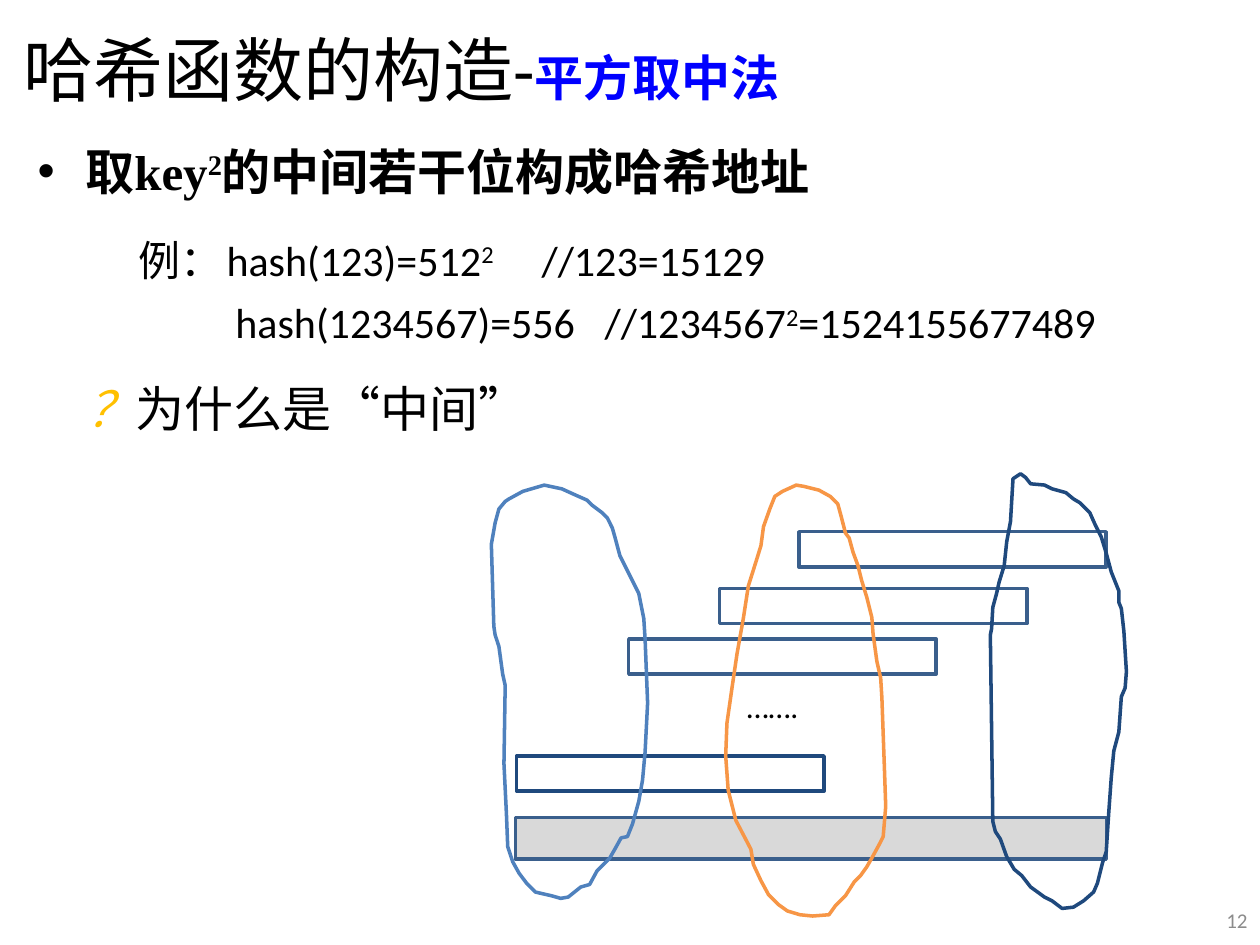
from lxml import etree
from pptx import Presentation
from pptx.dml.color import RGBColor
from pptx.enum.lang import MSO_LANGUAGE_ID as Language
from pptx.enum.shapes import MSO_SHAPE as Shape
from pptx.enum.text import MSO_ANCHOR as Anchor, PP_ALIGN as Align
from pptx.oxml.ns import qn
from pptx.util import Inches, Pt

BLACK = RGBColor(0x00, 0x00, 0x00)
BLUE = RGBColor(0x00, 0x00, 0xFF)
GOLD = RGBColor(0xFF, 0xC0, 0x00)
GRAY = RGBColor(0x8C, 0x8C, 0x8C)
SILVER = RGBColor(0xD9, 0xD9, 0xD9)
STEEL = RGBColor(0x3A, 0x5F, 0x8C)
NAVY = RGBColor(0x1F, 0x49, 0x7D)
SKY = RGBColor(0x4F, 0x81, 0xBD)
ORANGE = RGBColor(0xF7, 0x96, 0x46)
SANS, SERIF, CJK = "Calibri", "Times New Roman", "Noto Sans CJK SC"

LEFT_LOOP = [
    (4.15, 3.9), (4.04, 3.96), (4.01, 3.98), (3.96, 4.04), (3.93, 4.15),
    (3.9, 4.32), (3.92, 4.97), (3.93, 5.04), (3.96, 5.13), (3.99, 5.35),
    (4.01, 5.44), (4, 6.06), (4.02, 6.46), (4.03, 6.72), (4.07, 6.84),
    (4.12, 6.93), (4.18, 7.01), (4.25, 7.08), (4.38, 7.11), (4.45, 7.13),
    (4.51, 7.12), (4.61, 7.04), (4.68, 7.02), (4.74, 6.91), (4.84, 6.81),
    (4.88, 6.74), (4.93, 6.65), (4.98, 6.64), (5.02, 6.54), (5.07, 6.36),
    (5.1, 6.19), (5.12, 5.97), (5.14, 5.58), (5.12, 5.07), (5.11, 4.91),
    (5.07, 4.71), (5.02, 4.61), (4.92, 4.41), (4.88, 4.26), (4.86, 4.19),
    (4.82, 4.11), (4.78, 4.07), (4.7, 4.01), (4.66, 3.97), (4.57, 3.93),
    (4.46, 3.88), (4.32, 3.85)]
MIDDLE_LOOP = [
    (6.38, 3.86), (6.32, 3.85), (6.21, 3.9), (6.15, 3.94), (6.11, 4.04),
    (6.06, 4.18), (6.04, 4.33), (6, 4.46), (5.94, 4.65), (5.9, 4.91),
    (5.85, 5.19), (5.81, 5.46), (5.77, 5.74), (5.76, 6), (5.78, 6.27),
    (5.84, 6.51), (5.96, 6.74), (5.98, 6.86), (6.04, 6.99), (6.1, 7.1),
    (6.18, 7.18), (6.25, 7.23), (6.35, 7.26), (6.45, 7.27), (6.58, 7.26),
    (6.63, 7.19), (6.71, 7.11), (6.78, 7), (6.83, 6.95), (6.88, 6.88),
    (6.92, 6.81), (6.98, 6.7), (7.01, 6.64), (7.03, 6.4), (7.02, 6.1),
    (7, 5.54), (6.99, 5.38), (6.96, 5.25), (6.93, 5.03), (6.92, 4.9),
    (6.88, 4.74), (6.84, 4.61), (6.81, 4.49), (6.77, 4.38), (6.74, 4.27),
    (6.71, 4.23), (6.68, 4.11), (6.65, 4), (6.59, 3.94), (6.5, 3.89)]
RIGHT_LOOP = [
    (8.04, 3.8), (8.02, 4.14), (7.99, 4.3), (7.97, 4.49), (7.93, 4.62),
    (7.91, 4.71), (7.88, 4.82), (7.87, 4.99), (7.86, 5.04), (7.88, 6.52),
    (7.9, 6.6), (7.94, 6.66), (7.99, 6.8), (8.05, 6.9), (8.11, 6.95),
    (8.18, 7.04), (8.29, 7.12), (8.35, 7.15), (8.43, 7.21), (8.52, 7.2),
    (8.6, 7.15), (8.68, 7.08), (8.71, 7.01), (8.75, 6.85), (8.78, 6.76),
    (8.8, 6.45), (8.82, 6.17), (8.84, 5.96), (8.88, 5.81), (8.9, 5.53),
    (8.93, 5.46), (8.94, 5.33), (8.92, 5.01), (8.9, 4.83), (8.88, 4.78),
    (8.88, 4.69), (8.82, 4.54), (8.78, 4.39), (8.74, 4.26), (8.69, 4.16),
    (8.65, 4.07), (8.57, 3.99), (8.52, 3.96), (8.46, 3.91), (8.35, 3.88),
    (8.29, 3.85), (8.18, 3.84), (8.14, 3.79), (8.1, 3.76)]


def add_box(page, left, top, width, height, anchor=Anchor.TOP):
    """Add a wrapping text box and return its text frame."""
    box = page.shapes.add_textbox(*map(Inches, (left, top, width, height)))
    frame = box.text_frame
    frame.word_wrap = True
    frame.vertical_anchor = anchor
    return frame


def add_span(para, text, size=None, font=None, color=None, bold=None,
             italic=None, raised=False):
    """Append a run; settings left out come from the paragraph."""
    span = para.add_run()
    span.text = text
    face = span.font
    face.language_id = Language.SIMPLIFIED_CHINESE
    face.name, face.bold, face.italic = font, bold, italic
    if size:
        face.size = Pt(size)
    if color is not None:
        face.color.rgb = color
    if raised:
        span._r.get_or_add_rPr().set("baseline", "30000")


def style_para(para, size, font=SANS, color=BLACK, before=0):
    """Set the common font and the space before a paragraph."""
    para.font.size, para.font.name = Pt(size), font
    para.font.color.rgb = color
    para.space_before = Pt(before)


def indent_para(para, margin=0, first=0, bullet=None, tabs=()):
    """Set indents, tab stops and an optional bullet."""
    props = para._p.get_or_add_pPr()
    props.set("marL", str(Inches(margin)))
    props.set("indent", str(Inches(first)))
    extras = []
    if bullet:
        extras.append(etree.Element(qn("a:buFont"), typeface="Arial"))
        extras.append(etree.Element(qn("a:buChar"), char=bullet))
    if tabs:
        stops = etree.Element(qn("a:tabLst"))
        for tab in tabs:
            etree.SubElement(stops, qn("a:tab"), pos=str(Inches(tab)), algn="l")
        extras.append(stops)
    defaults = props.find(qn("a:defRPr"))
    for extra in extras:
        defaults.addprevious(extra)


def add_title(page, left, top, width, height):
    """Place the slide title and the name of the method."""
    para = add_box(page, left, top, width, height, Anchor.MIDDLE).paragraphs[0]
    style_para(para, 40)
    add_span(para, "哈希函数的构造", font=CJK)
    add_span(para, "-")
    add_span(para, "平方取中法", size=28, color=BLUE, bold=True)


def add_body(page, left, top, width, height):
    """Place the rule, its two examples and the question."""
    frame = add_box(page, left, top, width, height)
    rule = frame.paragraphs[0]
    first, second, question = (frame.add_paragraph() for _ in range(3))

    style_para(rule, 28)
    rule.font.bold = True
    indent_para(rule, 0.38, -0.38, bullet="•")
    add_span(rule, "取key", font=SERIF, bold=True)
    add_span(rule, "2", font=SERIF, bold=True, raised=True)
    add_span(rule, "的中间若干位构成哈希地址", bold=True)

    style_para(first, 24, before=19.6)
    indent_para(first, first=0.8, tabs=(1.62, 3.91))
    add_span(first, "例：\thash(123)=512")
    add_span(first, "2", raised=True)
    add_span(first, "\t//123=15129")

    style_para(second, 24, before=7)
    indent_para(second, first=1.57, tabs=(4.49,))
    add_span(second, "hash(1234567)=556\t//1234567")
    add_span(second, "2", raised=True)
    add_span(second, "=1524155677489")

    style_para(question, 28, before=18)
    indent_para(question, first=0.39)
    add_span(question, "？", color=GOLD, italic=True)
    add_span(question, "为什么是“中间”", font=CJK)


def add_bar(page, left, top, width, height, line=STEEL, fill=None):
    """Draw one row of digits as an outlined bar."""
    bar = page.shapes.add_shape(
        Shape.RECTANGLE, *map(Inches, (left, top, width, height)))
    style_outline(bar, line)
    if fill is not None:
        bar.fill.solid()
        bar.fill.fore_color.rgb = fill


def style_outline(shape, color):
    """Give a shape a plain 2 pt outline without fill or shadow."""
    shape.shadow.inherit = False
    shape.fill.background()
    shape.line.color.rgb = color
    shape.line.width = Pt(2)


def add_loop(page, left, top, points, color):
    """Draw a hand-drawn loop, moved by the given offset."""
    spots = [(Inches(left + x), Inches(top + y)) for x, y in points]
    builder = page.shapes.build_freeform(*spots[0])
    builder.add_line_segments(spots[1:], close=True)
    style_outline(builder.convert_to_shape(), color)


def add_product_diagram(page, left, top):
    """Draw the partial products, their sum and the three digit groups."""
    for x, y, color in ((2.44, 0.46, STEEL), (1.81, 0.91, STEEL),
                        (1.09, 1.31, STEEL), (0.2, 2.24, NAVY)):
        add_bar(page, left + x, top + y, 2.44, 0.28, color)
    add_bar(page, left + 0.19, top + 2.73, 4.69, 0.33, fill=SILVER)
    dots = add_box(page, left + 1.93, top + 1.64, 1.61, 0.4).paragraphs[0]
    style_para(dots, 18)
    add_span(dots, "…….")
    for points, color in ((RIGHT_LOOP, NAVY), (LEFT_LOOP, SKY),
                          (MIDDLE_LOOP, ORANGE)):
        add_loop(page, left - 3.9, top - 3.76, points, color)


def add_page_number(page, left, top, width, height):
    """Place the page number."""
    para = add_box(page, left, top, width, height, Anchor.MIDDLE).paragraphs[0]
    style_para(para, 12, color=GRAY)
    para.alignment = Align.RIGHT
    add_span(para, "12")


deck = Presentation()
deck.slide_width, deck.slide_height = Inches(10), Inches(7.5)
page = deck.slides.add_slide(deck.slide_layouts[6])
add_title(page, 0.09, 0.03, 9, 1.02)
add_body(page, 0.2, 1.07, 9.5, 2.91)
add_page_number(page, 9.57, 7.1, 0.43, 0.4)
add_product_diagram(page, 3.9, 3.76)
deck.save("out.pptx")
